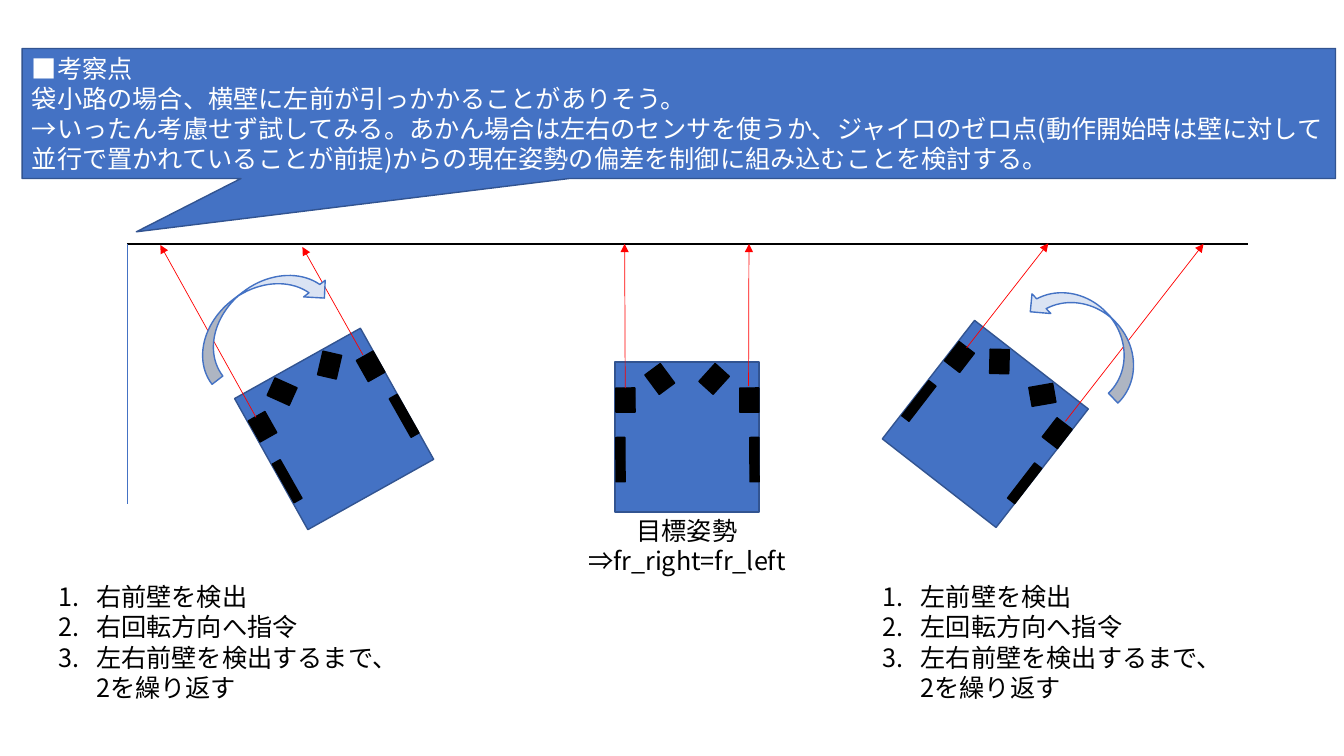
from dataclasses import dataclass
from math import cos, radians, sin

from lxml.etree import SubElement
from pptx import Presentation
from pptx.dml.color import RGBColor
from pptx.enum.shapes import MSO_CONNECTOR as Connector, MSO_SHAPE as Shape
from pptx.enum.text import MSO_ANCHOR as Anchor, MSO_AUTO_SIZE as AutoSize, PP_ALIGN as Align
from pptx.oxml.ns import qn
from pptx.util import Pt

Point = tuple[float, float]
Box = tuple[float, float, float, float]


@dataclass(frozen=True)
class Theme:
    blue: str = "4472C4"
    edge: str = "325491"
    pale: str = "DAE3F3"
    black: str = "000000"
    white: str = "FFFFFF"
    red: str = "FF0000"
    font: str = "Noto Sans CJK JP"
    size: float = 18
    thin: float = 0.5
    outline: float = 1
    wall: float = 1.5


@dataclass(frozen=True)
class Part:
    offset: Point
    size: Point
    turn: float


@dataclass(frozen=True)
class Beam:
    start: Point
    end: Point


@dataclass(frozen=True)
class Robot:
    center: Point
    turn: float
    beams: tuple[Beam, ...]


@dataclass(frozen=True)
class TurnArrow:
    box: Box
    turn: float
    flip: bool


@dataclass(frozen=True)
class Steps:
    box: Box
    lines: tuple[str, ...]


THEME = Theme()
BODY = (103, 107.3)
SENSOR = (13.7, 17.3)
WHEEL = (6.5, 31.7)
PARTS = (
    Part((-43.9, -26.3), SENSOR, -0.3),
    Part((44.6, -26.3), SENSOR, -0.3),
    Part((-19.4, -41.4), SENSOR, -36.6),
    Part((19.4, -41.4), SENSOR, 42.2),
    Part((-47.5, 16.2), WHEEL, -0.3),
    Part((48.2, 16.2), WHEEL, -0.3),
)
ROBOTS = (
    Robot((490.7, 312.1), 0, (
        Beam((446.6, 277.2), (446.2, 174.2)),
        Beam((534.7, 275.8), (535, 174.2)))),
    Robot((238.7, 306.4), -29.2, (
        Beam((182.9, 298.1), (114.5, 175)),
        Beam((259.2, 253.4), (216, 176.4)))),
    Robot((703.8, 302.8), 37.9, (
        Beam((690.5, 248.4), (748.8, 173.8)),
        Beam((761, 301), (859.7, 174.2)))),
)
TURN_ARROWS = (
    TurnArrow((128.2, 205.9, 110.9, 38.9), 322.5, False),
    TurnArrow((727.9, 218.9, 100.1, 38.9), 46.2, True),
)
STEPS = (
    Steps((34.6, 411.8, 297.4, 94.3),
          ("右前壁を検出", "右回転方向へ指令", "左右前壁を検出するまで、\n2を繰り返す")),
    Steps((623.5, 411.8, 264.2, 94.3),
          ("左前壁を検出", "左回転方向へ指令", "左右前壁を検出するまで、\n2を繰り返す")),
)
GOAL = ("目標姿勢", "⇒fr_right=fr_left")
NOTE = (
    "■考察点",
    "袋小路の場合、横壁に左前が引っかかることがありそう。",
    "→いったん考慮せず試してみる。あかん場合は左右のセンサを使うか、ジャイロのゼロ点"
    "(動作開始時は壁に対して並行で置かれていることが前提)"
    "からの現在姿勢の偏差を制御に組み込むことを検討する。",
)


def add_box(shapes, kind: Shape, box: Box, fill: str, line: str, turn: float = 0):
    sp = shapes.add_shape(kind, *map(Pt, box))
    sp.shadow.inherit = False
    sp.fill.solid()
    sp.fill.fore_color.rgb = RGBColor.from_string(fill)
    sp.line.color.rgb = RGBColor.from_string(line)
    sp.line.width = Pt(THEME.outline)
    sp.rotation = turn
    return sp


def add_line(shapes, start: Point, end: Point, color: str, width: float, arrow: bool = False) -> None:
    c = shapes.add_connector(Connector.STRAIGHT, *map(Pt, start + end))
    c.line.color.rgb = RGBColor.from_string(color)
    c.line.width = Pt(width)
    if arrow:
        SubElement(c.line._get_or_add_ln(), qn("a:tailEnd"), type="triangle")
    SubElement(c._element.spPr, qn("a:effectLst"))


def add_run(p, text: str, color: str) -> None:
    r = p.add_run()
    r.text = text
    r.font.size = Pt(THEME.size)
    r.font.name = THEME.font
    r.font.color.rgb = RGBColor.from_string(color)
    SubElement(r.font._element, qn("a:ea"), typeface=THEME.font)


def write(tf, lines: tuple[str, ...], color: str, align: Align = Align.LEFT, numbered: bool = False) -> None:
    tf.word_wrap = True
    for i, line in enumerate(lines):
        p = tf.add_paragraph() if i else tf.paragraphs[0]
        p.alignment = align
        if numbered:
            pPr = p._p.get_or_add_pPr()
            pPr.set("marL", str(Pt(27)))
            pPr.set("indent", str(-Pt(27)))
            SubElement(pPr, qn("a:buFont"), typeface="+mj-lt")
            SubElement(pPr, qn("a:buAutoNum"), type="arabicPeriod")
        for j, text in enumerate(line.split("\n")):
            if j:
                p.add_line_break()
            add_run(p, text, color)


def add_text(shapes, box: Box, lines: tuple[str, ...], align: Align = Align.LEFT, numbered: bool = False) -> None:
    tf = shapes.add_textbox(*map(Pt, box)).text_frame
    tf.auto_size = AutoSize.SHAPE_TO_FIT_TEXT
    write(tf, lines, THEME.black, align, numbered)


def centered(center: Point, size: Point) -> Box:
    return center[0] - size[0] / 2, center[1] - size[1] / 2, *size


def add_robot(shapes, robot: Robot) -> None:
    group = shapes.add_group_shape().shapes
    add_box(group, Shape.RECTANGLE, centered(robot.center, BODY), THEME.blue, THEME.edge, robot.turn)
    c, s = cos(radians(robot.turn)), sin(radians(robot.turn))
    for part in PARTS:
        x, y = part.offset
        center = (robot.center[0] + x * c - y * s, robot.center[1] + x * s + y * c)
        add_box(group, Shape.RECTANGLE, centered(center, part.size),
                THEME.black, THEME.black, robot.turn + part.turn)
    for beam in robot.beams:
        add_line(group, beam.start, beam.end, THEME.red, THEME.thin, arrow=True)


def add_turn_arrow(shapes, arrow: TurnArrow) -> None:
    sp = add_box(shapes, Shape.CURVED_DOWN_ARROW, arrow.box, THEME.pale, THEME.blue, arrow.turn)
    if arrow.flip:
        sp._element.spPr.xfrm.set("flipH", "1")


def add_note(shapes) -> None:
    sp = add_box(shapes, Shape.RECTANGULAR_CALLOUT, (15.8, 34.6, 938.2, 92.9), THEME.blue, THEME.edge)
    sp.adjustments[0], sp.adjustments[1] = -0.413, 0.91
    sp.text_frame.vertical_anchor = Anchor.MIDDLE
    write(sp.text_frame, NOTE, THEME.white)


def main() -> None:
    prs = Presentation()
    prs.slide_width, prs.slide_height = Pt(960), Pt(540)
    shapes = prs.slides.add_slide(prs.slide_layouts[6]).shapes
    corner = (90.7, 174.2)
    add_line(shapes, corner, (891.4, 174.2), THEME.black, THEME.wall)
    for robot in ROBOTS:
        add_robot(shapes, robot)
    for arrow in TURN_ARROWS:
        add_turn_arrow(shapes, arrow)
    add_text(shapes, (402.5, 364.3, 176.4, 51.1), GOAL, Align.CENTER)
    for steps in STEPS:
        add_text(shapes, steps.box, steps.lines, numbered=True)
    add_line(shapes, corner, (90.7, 360), THEME.blue, THEME.thin)
    add_note(shapes)
    prs.save("out.pptx")


main()
